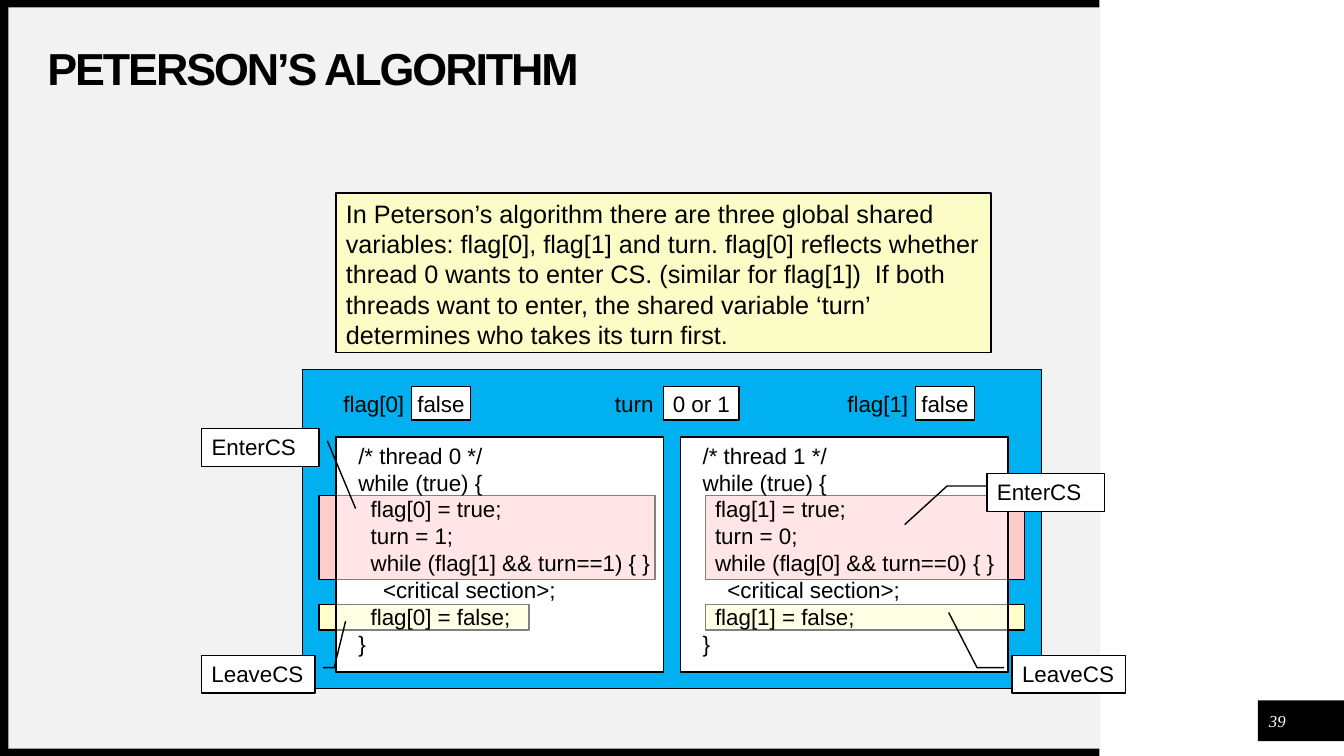
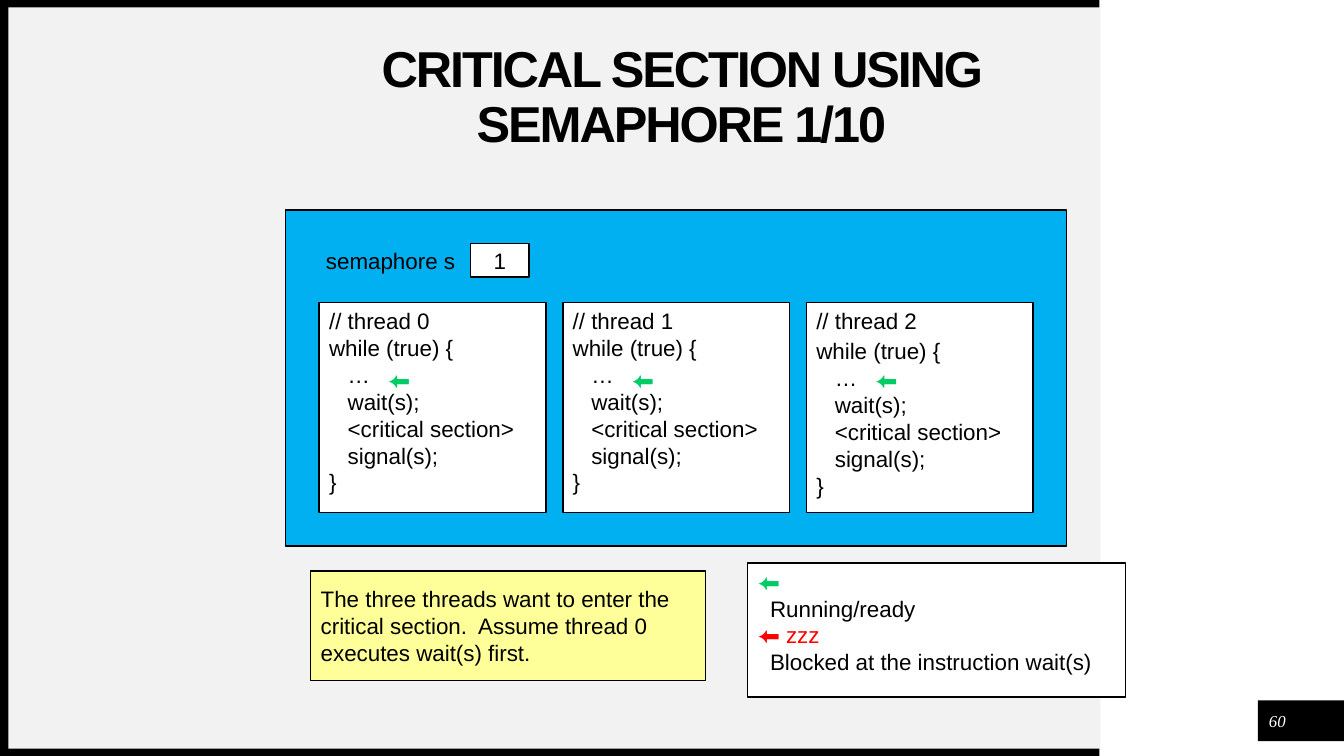
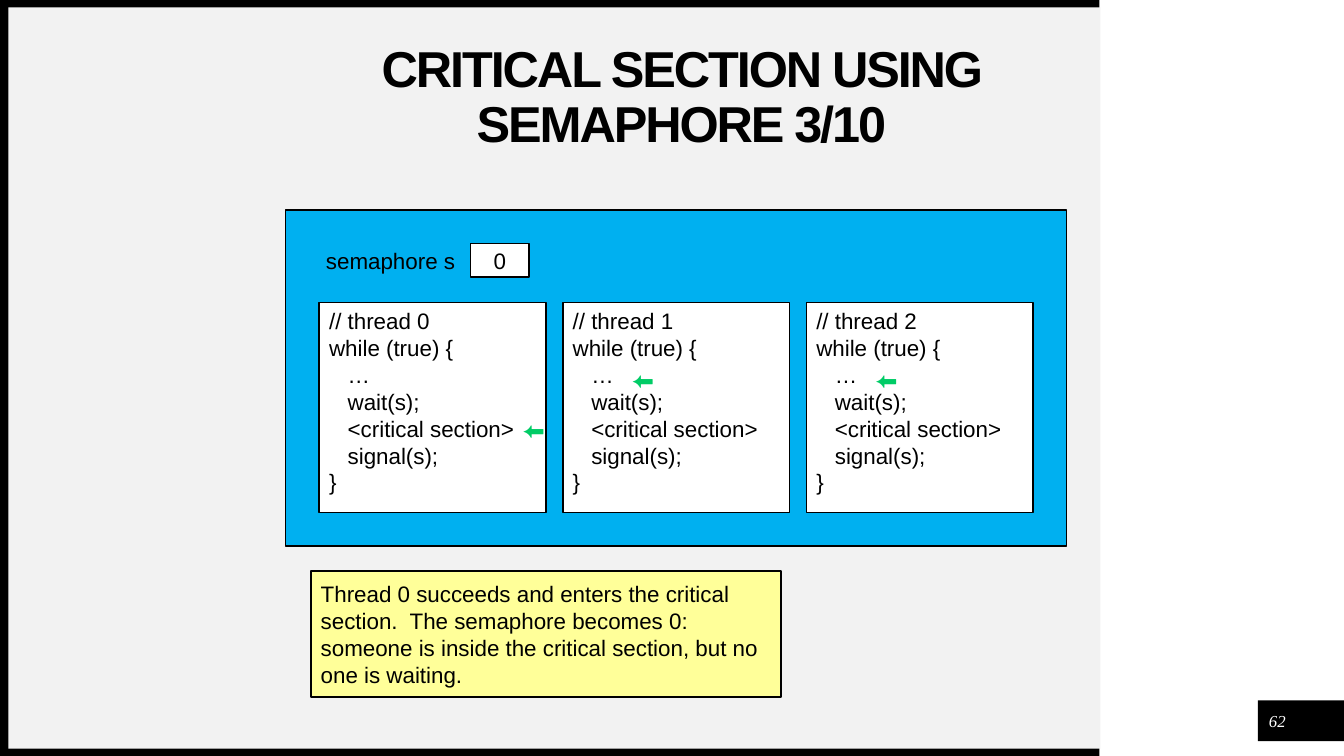
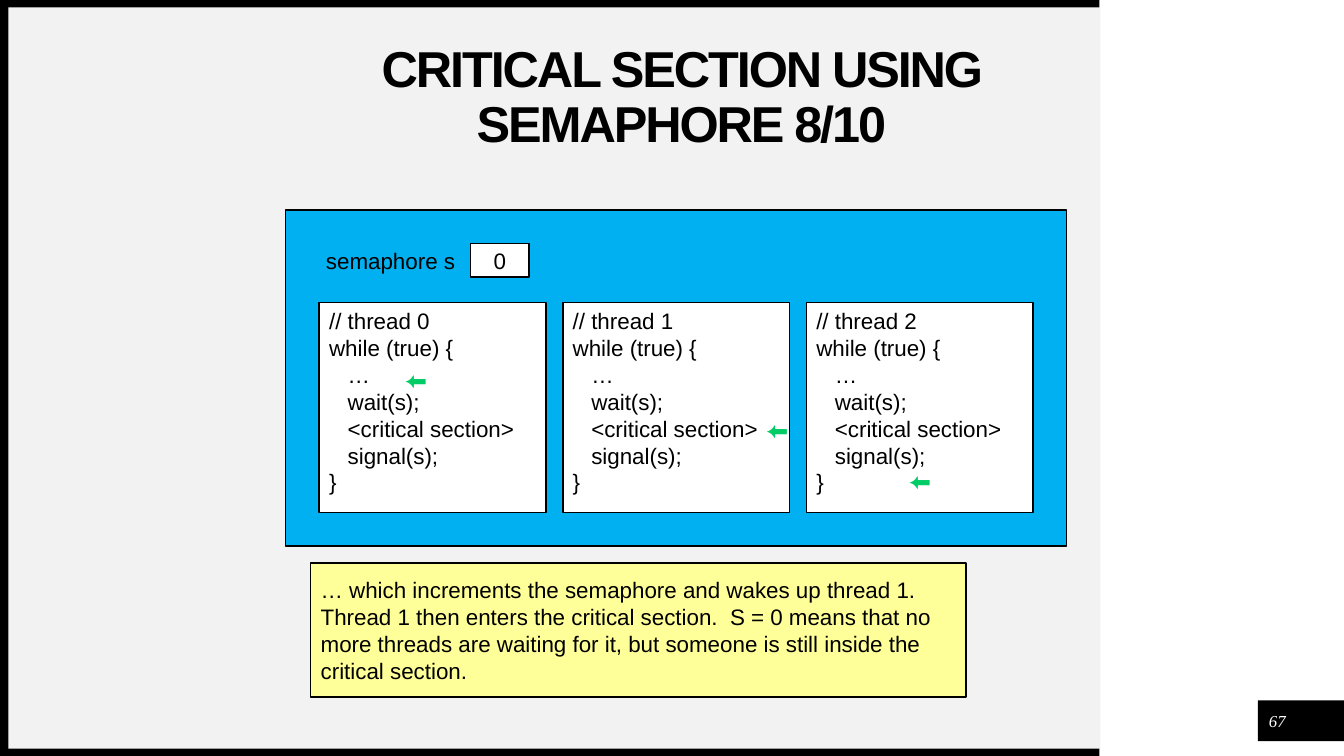
from copy import deepcopy

from lxml import etree
from pptx import Presentation
from pptx.dml.color import RGBColor
from pptx.enum.shapes import MSO_SHAPE
from pptx.enum.text import MSO_ANCHOR, MSO_AUTO_SIZE, PP_ALIGN
from pptx.oxml.ns import qn
from pptx.util import Emu, Pt

RECTANGLE, CALLOUT = MSO_SHAPE.RECTANGLE, MSO_SHAPE.LINE_CALLOUT_2
TOP, MIDDLE = MSO_ANCHOR.TOP, MSO_ANCHOR.MIDDLE
LEFT, CENTER = PP_ALIGN.LEFT, PP_ALIGN.CENTER
NO_AUTOFIT = MSO_AUTO_SIZE.NONE

# Shared style
PX = 9525  # one px in EMU
TITLE_ONLY = 5
COLORS = {
    "black": "000000", "white": "FFFFFF", "page": "F2F2F2", "panel": "00B0F0",
    "enter": "FFCCCC", "leave": "FFFFCC", "intro": "FCFDC6", "note": "FFFF99",
    "running": "00CC66", "blocked": "FF0000",
}
BODY = {"name": "Arial", "size": Pt(16)}
INTRO = {"name": "Arial", "size": Pt(18)}
NUMBER = {"name": "Times New Roman", "size": Pt(12), "italic": True}
BANDS = [
    ((8, 7, 1040, 706), "page"),
    ((1198, 667, 82, 39), "black"),
    ((0, 713, 1047, 7), "black"),
    ((0, 0, 1047, 7), "black"),
    ((0, 3, 8, 717), "black"),
]
NUMBER_BOX = (1202, 672, 29, 29)
ARROW = "⬅"

# Peterson slide
PETERSON = {"title": "PETERSON’S ALGORITHM", "number": "39"}
PETERSON_INTRO = (
    "In Peterson’s algorithm there are three global shared variables: flag[0], flag[1] "
    "and turn. flag[0] reflects whether thread 0 wants to enter CS. (similar for flag[1])  "
    "If both threads want to enter, the shared variable ‘turn’ determines who takes its "
    "turn first."
)
PETERSON_CODE = """  /* thread {me} */
  while (true) {{
    flag[{me}] = true;
    turn = {other};
    while (flag[{other}] && turn=={other}) {{ }}
      <critical section>;
    flag[{me}] = false;
  }}"""
VARIABLES = [  # name, label left, label width, value, value left, value width
    ("flag[0]", 320, 72, "false", 392, 56),
    ("turn", 568, 72, "0 or 1", 632, 72),
    ("flag[1]", 800, 72, "false", 872, 56),
]
HIGHLIGHTS = [  # left, enter width, leave width
    (304, 320, 200),
    (672, 304, 304),
]
CALLOUTS = [  # label, box, callout line as y, x pairs
    ("EnterCS", (940, 451, 112, 36), (0.33, 0, 0.33, -0.34, 1.35, -0.7)),
    ("LeaveCS", (964, 624, 108, 36), (0.33, -0.07, 0.33, -0.31, -1.13, -0.56)),
    ("EnterCS", (192, 408, 112, 36), (0.33, 1.07, 0.33, 1.07, 2.12, 1.31)),
    ("LeaveCS", (192, 624, 108, 36), (0.33, 1.07, 0.33, 1.17, -0.9, 1.27)),
]

# Semaphore slides
SEMAPHORE_TITLE = "CRITICAL SECTION USING SEMAPHORE {step}/10"
SEMAPHORE_CODE = """// thread {me}
while (true) {{
   …
   wait(s);
   <critical section>
   signal(s);
}}"""
WAITING, INSIDE = (56, 56), (184, 104)  # arrow offsets within a thread box
STEPS = [
    {"step": 1, "number": "60", "value": "1", "arrows": [WAITING] * 3,
     "tall_thread": 2, "note_box": (296, 544, 376, 104), "legend": True,
     "note": "The three threads want to enter the critical section.  "
             "Assume thread 0 executes wait(s) first."},
    {"step": 3, "number": "62", "value": "0", "arrows": [INSIDE, WAITING, WAITING],
     "note_box": (296, 544, 448, 120),
     "note": "Thread 0 succeeds and enters the critical section.  The semaphore becomes 0: "
             "someone is inside the critical section, but no one is waiting."},
    {"step": 8, "number": "67", "value": "0", "arrows": [(72, 56), INSIDE, (88, 152)],
     "note_box": (296, 536, 624, 128),
     "note": "… which increments the semaphore and wakes up thread 1.  Thread 1 then enters "
             "the critical section.  S = 0 means that no more threads are waiting for it, "
             "but someone is still inside the critical section."},
]
LEGEND = [  # text, colour, left indent
    (ARROW, "running", 0),
    ("Running/ready", "black", 12),
    (ARROW + " zzz", "blocked", 0),
    ("Blocked at the instruction wait(s)", "black", 12),
]


def color(name):
    return RGBColor.from_string(COLORS[name])


def emu(box):
    return [Emu(value * PX) for value in box]


def format_runs(para, font, ink):
    for span in para.runs:
        for key, value in font.items():
            setattr(span.font, key, value)
        span.font.color.rgb = color(ink)


def write(shape, text, font=BODY, ink="black", align=LEFT, anchor=TOP, wrap=False):
    frame = shape.text_frame
    frame.word_wrap, frame.vertical_anchor = wrap, anchor
    para = frame.paragraphs[0]
    para.text, para.alignment = text, align
    format_runs(para, font, ink)
    for line_break in shape.element.iter(qn("a:br")):
        etree.SubElement(line_break, qn("a:rPr"), sz=str(font["size"].centipoints))


def clear_margins(frame):
    for side in ("left", "top", "right", "bottom"):
        setattr(frame, "margin_" + side, 0)


def add_box(page, box, fill, outline=True, kind=RECTANGLE):
    shape = page.shapes.add_shape(kind, *emu(box))
    shape.shadow.inherit = False
    shape.fill.solid()
    shape.fill.fore_color.rgb = color(fill)
    if outline:
        shape.line.color.rgb = color("black")
        shape.line.width = Pt(1)
    else:
        shape.line.fill.background()
    return shape


def add_text(page, box, text, **style):
    shape = page.shapes.add_textbox(*emu(box))
    write(shape, text, **style)
    return shape


def add_variable(page, top, name, label_left, label_width, value, value_left, value_width):
    style = {"align": CENTER, "anchor": MIDDLE}
    write(add_box(page, (value_left, top, value_width, 32), "white"), value, **style)
    label = add_text(page, (label_left, top, label_width, 32), name, **style)
    clear_margins(label.text_frame)


def make_translucent(shape):
    tint = next(shape.element.spPr.iter(qn("a:srgbClr")))
    etree.SubElement(tint, qn("a:alpha"), val="50000")


def heighten_second_line(shape):
    """End the second code line with a larger space."""
    line = list(shape.element.iter(qn("a:r")))[1]
    space = deepcopy(line)
    space.text = " "
    space.rPr.set("sz", "1800")
    line.addnext(space)


def add_bands(page, layout):
    """Draw the bands once and hand them to the layout all slides use."""
    for holder in list(layout.placeholders)[1:]:
        layout.shapes.element.remove(holder.element)
    for box, fill in BANDS:
        layout.shapes.element.append(add_box(page, box, fill, outline=False).element)


def start_page(deck, title, number, title_box, size, align):
    page = deck.slides.add_slide(deck.slide_layouts[TITLE_ONLY])
    heading = page.shapes.title
    heading.left, heading.top, heading.width, heading.height = emu(title_box)
    font = {"name": "Arial", "size": Pt(size), "bold": True}
    write(heading, title, font, align=align, anchor=MIDDLE, wrap=True)
    heading.text_frame.auto_size = NO_AUTOFIT
    heading.text_frame.paragraphs[0].line_spacing = 0.9
    clear_margins(heading.text_frame)
    for properties in heading.element.iter(qn("a:rPr")):
        properties.set("spc", "-150")
    label = add_text(page, NUMBER_BOX, number, font=NUMBER, ink="white",
                     align=CENTER, anchor=MIDDLE)
    clear_margins(label.text_frame)
    return page


def build_peterson(deck):
    page = start_page(deck, PETERSON["title"], PETERSON["number"],
                      (45, 45, 966, 45), 32, LEFT)
    add_bands(page, deck.slide_layouts[TITLE_ONLY])
    add_box(page, (288, 352, 704, 304), "panel")
    for variable in VARIABLES:
        add_variable(page, 368, *variable)

    # Threads: the highlights shine through a translucent code box
    thread_boxes = [(320 + 328 * me, 416, 312, 224) for me in range(2)]
    for box in thread_boxes:
        add_box(page, box, "white")
    for left, enter_width, leave_width in HIGHLIGHTS:
        add_box(page, (left, 472, enter_width, 80), "enter")
        add_box(page, (left, 576, leave_width, 24), "leave")
    for me, box in enumerate(thread_boxes):
        code = add_box(page, box, "white")
        make_translucent(code)
        write(code, PETERSON_CODE.format(me=me, other=1 - me))

    # Explanation and callouts
    write(add_box(page, (320, 184, 624, 152), "intro"), PETERSON_INTRO, INTRO, wrap=True)
    for label, box, line in CALLOUTS:
        callout = add_box(page, box, "white", kind=CALLOUT)
        for index, value in enumerate(line):
            callout.adjustments[index] = value
        write(callout, label, wrap=True)


def add_legend(page):
    legend = add_box(page, (712, 536, 360, 128), "white")
    frame = legend.text_frame
    frame.word_wrap, frame.vertical_anchor = False, TOP
    for index, (text, ink, indent) in enumerate(LEGEND):
        para = frame.add_paragraph() if index else frame.paragraphs[0]
        para.text, para.alignment = text, LEFT
        format_runs(para, BODY, ink)
        properties = list(legend.element.iter(qn("a:pPr")))[-1]
        properties.set("marL", str(indent * PX))


def build_semaphore(deck, step):
    page = start_page(deck, SEMAPHORE_TITLE.format(step=step["step"]), step["number"],
                      (240, 48, 818, 92), 36, CENTER)
    add_box(page, (272, 200, 744, 320), "panel")
    add_variable(page, 232, "semaphore s", 304, 136, step["value"], 448, 56)

    # Threads with the arrow at the current instruction
    for me, (across, down) in enumerate(step["arrows"]):
        left, top = 304 + 232 * me, 288
        code = add_box(page, (left, top, 216, 200), "white")
        write(code, SEMAPHORE_CODE.format(me=me))
        if me == step.get("tall_thread"):
            heighten_second_line(code)
        add_text(page, (left + across, top + down, 32, 32), ARROW, ink="running")

    write(add_box(page, step["note_box"], "note"), step["note"], anchor=MIDDLE, wrap=True)
    if step.get("legend"):
        add_legend(page)


def main():
    deck = Presentation()
    deck.slide_width, deck.slide_height = emu((1280, 720))
    build_peterson(deck)
    for step in STEPS:
        build_semaphore(deck, step)
    deck.save("out.pptx")


if __name__ == "__main__":
    main()
